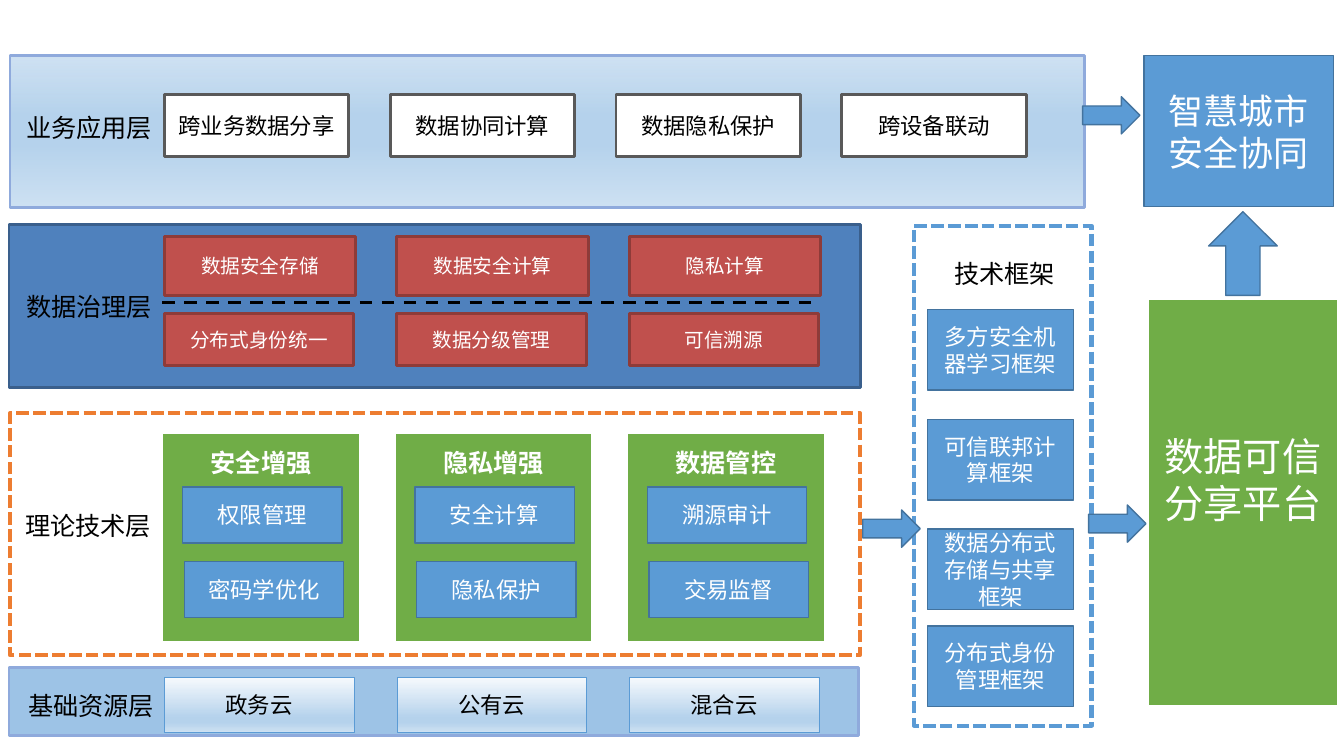
import pptx
import pptx.util
import pptx.dml.color
import pptx.enum.dml
import pptx.enum.shapes
import pptx.enum.text
import pptx.oxml.ns
import lxml.etree

COLORS = {
    "white": "FFFFFF", "black": "000000", "blue": "5B9BD5", "blue_edge": "43739E",
    "green": "70AD47", "red": "C0504D", "red_edge": "8E3B39", "navy": "4F81BD",
    "navy_edge": "3A5F8C", "sky": "9DC3E6", "sky_edge": "8FAADC", "gray": "595959",
    "orange": "ED7D31", "mist": "B5D2EC", "pale": "CEE1F2", "frost": "F7FAFD",
}
BAND_GRADIENT = [(1, "mist", 65), (40, "mist", 100), (59, "mist", 100), (100, "pale", 100)]
CLOUD_GRADIENT = [(0, "frost", 100), (74, "mist", 100), (83, "mist", 100), (100, "pale", 100)]

# fill, line, line width, font, text colour
STYLES = {
    "governance": ("navy", "navy_edge", 2, "Arial", "white"),
    "application": (BAND_GRADIENT, "sky_edge", 2, "Arial", "black"),
    "resource": ("sky", "sky_edge", 2, "Arial", "black"),
    "theory": (None, "orange", 3, "Arial", "black"),
    "framework": (None, "blue", 3, "Arial", "black"),
    "red": ("red", "red_edge", 2, "Arial", "white"),
    "plain": ("white", "gray", 2, "DejaVu Sans", "black"),
    "cloud": (CLOUD_GRADIENT, "blue", 0.25, "DejaVu Sans", "black"),
    "green": ("green", "white", 1.5, "Arial", "white"),
    "blue": ("blue", "blue_edge", 1, "Arial", "white"),
    "label": (None, None, 0, "Noto Sans CJK SC", "black"),
}
LAYERS = [
    ("governance", 6.5, 160.5, 608.4, 116.6),
    ("application", 7.2, 39.6, 767.5, 108.7),
    ("resource", 6.5, 476.6, 607, 49),
    ("theory", 7.2, 295.2, 607, 172.8),
    ("framework", 653, 161.3, 126.7, 357.1),
]
LABELS = [
    ("业务应用层", 11.5, 76.3), ("数据治理层", 11.5, 204.5), ("理论技术层", 10.8, 360.7),
    ("基础资源层", 13, 489.6), ("技术框架", 674.6, 180.7),
]
APPLICATIONS = ["跨业务数据分享", "数据协同计算", "数据隐私保护", "跨设备联动"]
GOVERNANCE = [
    (169.2, 136.8, 41.8, ["数据安全存储", "数据安全计算", "隐私计算"]),
    (223.9, 135.4, 37.4, ["分布式身份统一", "数据分级管理", "可信溯源"]),
]
THEORY = [
    ("安全增强", ["权限管理", "密码学优化"]),
    ("隐私增强", ["安全计算", "隐私保护"]),
    ("数据管控", ["溯源审计", "交易监督"]),
]
CLOUDS = ["政务云", "公有云", "混合云"]
FRAMEWORKS = [
    ("多方安全机器学习框架", 221), ("可信联邦计算框架", 299.5),
    ("数据分布式存储与共享框架", 378), ("分布式身份管理框架", 447.1),
]
ARROWS = [
    ("RIGHT_ARROW", 616.3, 364.3, 41, 26.6), ("RIGHT_ARROW", 777.6, 360.7, 41, 26.6),
    ("RIGHT_ARROW", 773.3, 69.1, 41, 26.6), ("UP_ARROW", 863.3, 151.2, 49, 59.8),
]
COLUMN_LEFT, COLUMN_STEP, APPLICATION_STEP = 117.4, 166, 161.3

Pt = pptx.util.Pt
qn = pptx.oxml.ns.qn
SHAPE = pptx.enum.shapes.MSO_SHAPE
DASH = pptx.enum.dml.MSO_LINE


def rgb(name):
    return pptx.dml.color.RGBColor.from_string(COLORS[name])


def paint_gradient(box, stops):
    box.fill.gradient()
    box.fill.gradient_angle = 270
    stop_list = box._element.spPr.find(".//" + qn("a:gsLst"))
    for old_stop in list(stop_list):
        stop_list.remove(old_stop)
    for position, name, opacity in stops:
        stop = lxml.etree.SubElement(stop_list, qn("a:gs"), pos=str(position * 1000))
        color = lxml.etree.SubElement(stop, qn("a:srgbClr"), val=COLORS[name])
        if opacity < 100:
            lxml.etree.SubElement(color, qn("a:alpha"), val=str(opacity * 1000))


def write(box, text, size, font, color, align="CENTER", bold=False):
    frame = box.text_frame
    frame.word_wrap = True
    frame.vertical_anchor = pptx.enum.text.MSO_ANCHOR.MIDDLE
    para = frame.paragraphs[0]
    para.alignment = pptx.enum.text.PP_ALIGN[align]
    span = para.add_run()
    span.text = text
    span.font.size = Pt(size)
    span.font.bold = bold
    span.font.name = font
    span.font.color.rgb = rgb(color)
    properties = span.font._element
    properties.set("lang", "zh-CN")
    latin = properties.find(qn("a:latin"))
    latin.addnext(properties.makeelement(qn("a:ea"), {"typeface": font}))


def add_box(style, left, top, width, height, text="", size=16, bold=False, kind="RECTANGLE"):
    fill, edge, weight, font, color = STYLES[style]
    box = page.shapes.add_shape(SHAPE[kind], Pt(left), Pt(top), Pt(width), Pt(height))
    box.shadow.inherit = False
    if fill is None:
        box.fill.background()
    elif isinstance(fill, list):
        paint_gradient(box, fill)
    else:
        box.fill.solid()
        box.fill.fore_color.rgb = rgb(fill)
    box.line.color.rgb = rgb(edge)
    box.line.width = Pt(weight)
    if fill is None:
        box.line.dash_style = DASH.SQUARE_DOT
    if text:
        write(box, text, size, font, color, bold=bold)
    return box


deck = pptx.Presentation()
deck.slide_width, deck.slide_height = Pt(960), Pt(540)
page = deck.slides.add_slide(deck.slide_layouts[6])

for layer in LAYERS:
    add_box(*layer)

for text, left, top in LABELS:
    label = page.shapes.add_textbox(Pt(left), Pt(top), Pt(110), Pt(28.8))
    write(label, text, 18, *STYLES["label"][3:], align="LEFT")

for index, text in enumerate(APPLICATIONS):
    add_box("plain", COLUMN_LEFT + index * APPLICATION_STEP, 67.3, 131.8, 44.6, text)

for top, width, height, names in GOVERNANCE:
    for index, text in enumerate(names):
        add_box("red", COLUMN_LEFT + index * COLUMN_STEP, top, width, height, text, 14)

for index, (heading, methods) in enumerate(THEORY):
    left = COLUMN_LEFT + index * COLUMN_STEP
    panel = add_box("green", left - 1.4, 309.4, 141.1, 149, heading, 18, True)
    panel.text_frame.vertical_anchor = pptx.enum.text.MSO_ANCHOR.TOP
    panel.text_frame.margin_top = Pt(10)
    for row, text in enumerate(methods):
        add_box("blue", left + 13 + row * 1.2, 347.8 + row * 53.3, 113.8, 40, text)

for index, text in enumerate(CLOUDS):
    add_box("cloud", COLUMN_LEFT + index * COLUMN_STEP, 483.4, 135.4, 39.6, text)

for text, top in FRAMEWORKS:
    add_box("blue", 662.4, top, 104.4, 57.6, text)

platform = add_box("green", 820.1, 213.8, 135.4, 290.9, "数据可信分享平台", 28)
platform.text_frame.margin_bottom = Pt(37)
add_box("blue", 817.2, 39.6, 135.4, 108, "智慧城市安全协同", 25)

for kind, *place in ARROWS:
    add_box("blue", *place, kind=kind)

divider = page.shapes.add_connector(
    pptx.enum.shapes.MSO_CONNECTOR.STRAIGHT, Pt(116), Pt(216), Pt(584.6), Pt(216))
divider.line.color.rgb = rgb("black")
divider.line.width = Pt(2.25)
divider.line.dash_style = DASH.DASH
lxml.etree.SubElement(divider._element.spPr, qn("a:effectLst"))

deck.save("out.pptx")
